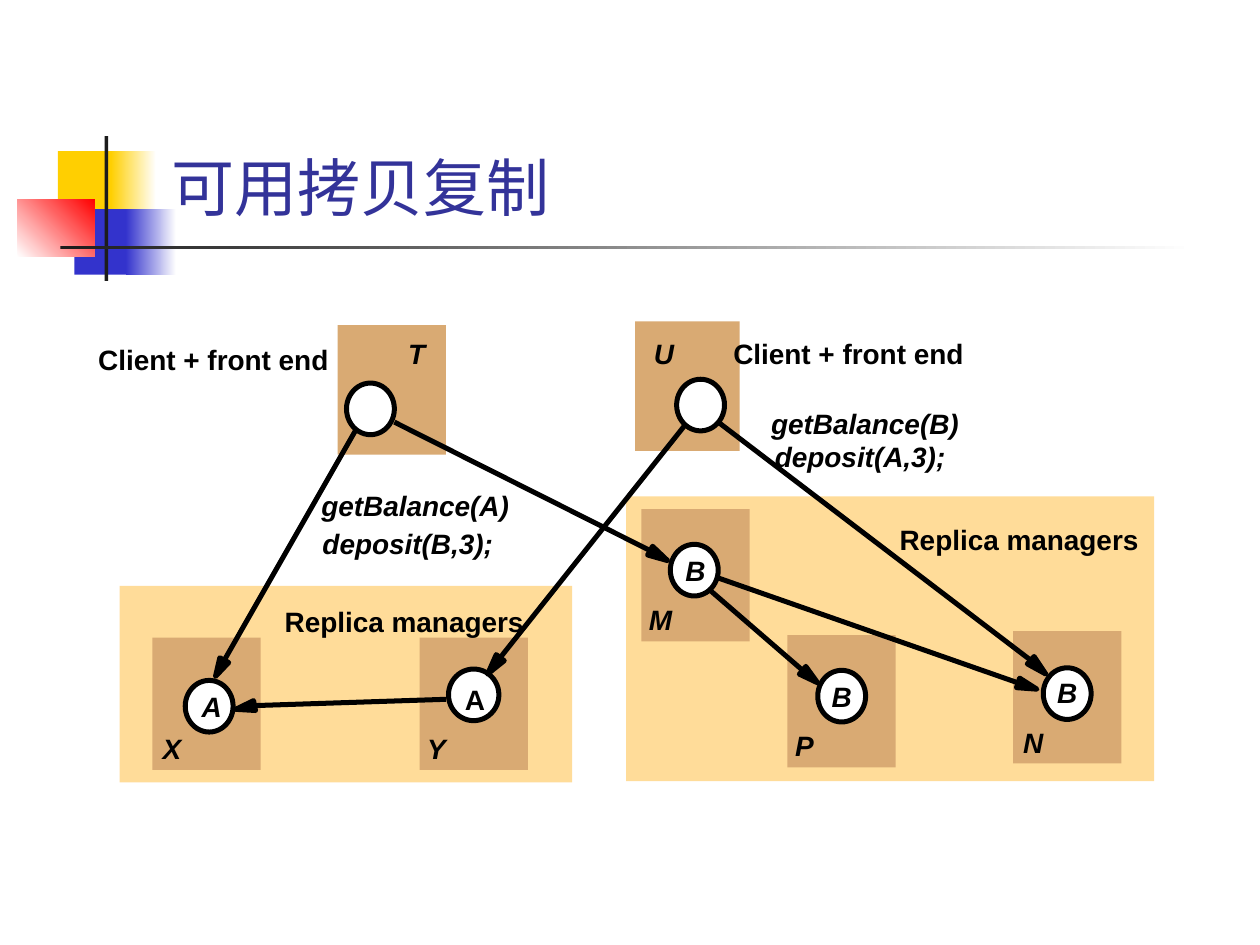
import math
from dataclasses import dataclass

import pptx
import pptx.dml.color
import pptx.enum.shapes
import pptx.enum.text
import pptx.util
from lxml import etree
from pptx.oxml.ns import qn

Inches = pptx.util.Inches
Pt = pptx.util.Pt
Kind = pptx.enum.shapes.MSO_SHAPE
Point = tuple[float, float]

BLACK = "000000"
WHITE = "FFFFFF"
CREAM = "FFDC99"
TAN = "D9AA73"
STROKE = 2.86


@dataclass
class Block:
    x: float
    y: float
    w: float
    h: float
    tint: str
    fade: str = ""
    turn: int = 0


@dataclass
class Label:
    text: str
    x: float
    y: float
    w: float
    slant: bool = True


@dataclass
class Arrow:
    start: Point
    base: Point
    tip: Point


DECOR = [
    Block(0.46, 1.2, 0.48, 0.52, "FFCF01"),
    Block(0.88, 1.2, 0.36, 0.52, "FFCF01", WHITE),
    Block(0.59, 1.66, 0.46, 0.52, "3333CC"),
    Block(1, 1.66, 0.4, 0.52, "3333CC", WHITE),
    Block(0.14, 1.58, 0.61, 0.46, WHITE, "FF0000", 45),
    Block(0.83, 1.08, 0.03, 1.15, "1C1C1C"),
    Block(0.48, 1.95, 9, 0.03, "1C1C1C", WHITE),
]
PANELS = [
    Block(4.97, 3.94, 4.19, 2.26, CREAM),
    Block(0.95, 4.65, 3.59, 1.56, CREAM),
]
HOSTS = [
    Block(2.68, 2.58, 0.86, 1.03, TAN),
    Block(5.04, 2.55, 0.83, 1.03, TAN),
] + [
    Block(x, y, 0.86, 1.05, TAN)
    for x, y in [(1.21, 5.06), (3.33, 5.06), (5.09, 4.04), (6.25, 5.04), (8.04, 5.01)]
]
NODES = [
    Block(x, y, w, 0.41, WHITE)
    for x, y, w in [
        (2.75, 3.04, 0.38), (5.37, 3.01, 0.38),
        (1.47, 5.4, 0.38), (3.56, 5.31, 0.4),
        (5.32, 4.32, 0.38), (6.49, 5.32, 0.38), (8.28, 5.3, 0.38),
    ]
]
LABELS = [
    Label("Client + front end", 0.78, 2.72, 1.83, False),
    Label("Client + front end", 5.82, 2.67, 1.83, False),
    Label("Replica managers", 2.26, 4.8, 1.9, False),
    Label("Replica managers", 7.14, 4.15, 1.9, False),
    Label("getBalance(A)", 2.55, 3.88, 1.49),
    Label("deposit(B,3);", 2.56, 4.18, 1.36),
    Label("getBalance(B)", 6.12, 3.23, 1.49),
    Label("deposit(A,3);", 6.15, 3.49, 1.36),
    Label("T", 3.24, 2.67, 0.14),
    Label("U", 5.19, 2.67, 0.16),
    Label("X", 1.29, 5.81, 0.15),
    Label("Y", 3.39, 5.81, 0.15),
    Label("M", 5.15, 4.78, 0.19),
    Label("P", 6.31, 5.78, 0.15),
    Label("N", 8.12, 5.76, 0.16),
    Label("A", 1.6, 5.47, 0.16),
    Label("A", 3.69, 5.42, 0.16, False),
    Label("B", 5.44, 4.39, 0.16),
    Label("B", 6.6, 5.39, 0.16),
    Label("B", 8.39, 5.36, 0.16),
]
ARROWS = [
    Arrow((2.82, 3.42), (1.78, 5.24), (1.71, 5.37)),
    Arrow((3.13, 3.35), (5.16, 4.37), (5.3, 4.45)),
    Arrow((5.44, 3.37), (3.97, 5.22), (3.87, 5.35)),
    Arrow((5.7, 3.35), (8.18, 5.24), (8.3, 5.35)),
    Arrow((5.68, 4.58), (8.08, 5.42), (8.23, 5.47)),
    Arrow((5.63, 4.68), (6.37, 5.32), (6.49, 5.42)),
    Arrow((3.54, 5.55), (2.02, 5.6), (1.87, 5.63)),
]


def color(code: str) -> pptx.dml.color.RGBColor:
    return pptx.dml.color.RGBColor.from_string(code)


def paint(shape, tint: str, edge: str = "") -> None:
    shape.shadow.inherit = False
    shape.fill.solid()
    shape.fill.fore_color.rgb = color(tint)
    if edge:
        shape.line.color.rgb = color(edge)
        shape.line.width = Pt(STROKE)
    else:
        shape.line.fill.background()


def add_block(shapes, block: Block, kind=Kind.RECTANGLE, edge: str = "") -> None:
    box = [Inches(n) for n in (block.x, block.y, block.w, block.h)]
    shape = shapes.add_shape(kind, *box)
    paint(shape, block.tint, edge)
    if block.fade:
        shape.fill.gradient()
        shape.fill.gradient_angle = block.turn
        for stop, tint in zip(shape.fill.gradient_stops, (block.tint, block.fade)):
            stop.color.rgb = color(tint)


def add_label(shapes, label: Label) -> None:
    box = [Inches(n) for n in (label.x, label.y, label.w, 0.27)]
    frame = shapes.add_textbox(*box).text_frame
    frame.margin_left = frame.margin_right = 0
    frame.margin_top = frame.margin_bottom = 0
    frame.word_wrap = False
    frame.auto_size = pptx.enum.text.MSO_AUTO_SIZE.SHAPE_TO_FIT_TEXT
    frame.text = label.text
    font = frame.paragraphs[0].font
    font.name = "Arial"
    font.size = Pt(16)
    font.bold = True
    font.italic = label.slant
    font.color.rgb = color(BLACK)


def add_arrow(shapes, arrow: Arrow) -> None:
    (bx, by), (tx, ty) = arrow.base, arrow.tip
    size = math.dist(arrow.base, arrow.tip)
    dx, dy = 0.04 * (by - ty) / size, 0.04 * (tx - bx) / size
    edge = [(bx + dx, by + dy), arrow.tip, (bx - dx, by - dy)]
    points = [(Inches(x), Inches(y)) for x, y in edge]
    pen = shapes.build_freeform(*points[0])
    pen.add_line_segments(points[1:], close=True)
    paint(pen.convert_to_shape(), BLACK, BLACK)
    ends = [Inches(n) for n in arrow.start + arrow.base]
    line = shapes.add_connector(pptx.enum.shapes.MSO_CONNECTOR.STRAIGHT, *ends)
    line.line.color.rgb = color(BLACK)
    line.line.width = Pt(STROKE)
    etree.SubElement(line.element.spPr, qn("a:effectLst"))


def set_title(title, text: str) -> None:
    title.left, title.top = Inches(1.26), Inches(0.23)
    title.width, title.height = Inches(8.52), Inches(1.6)
    frame = title.text_frame
    frame.text = text
    frame.auto_size = pptx.enum.text.MSO_AUTO_SIZE.NONE
    frame.vertical_anchor = pptx.enum.text.MSO_ANCHOR.BOTTOM
    para = frame.paragraphs[0]
    para.alignment = pptx.enum.text.PP_ALIGN.LEFT
    para.font.name = "Cabin"
    para.font.size = Pt(36)
    para.font.color.rgb = color("333399")


def main() -> None:
    deck = pptx.Presentation()
    deck.slide_width, deck.slide_height = Inches(10), Inches(7.5)
    slide = deck.slides.add_slide(deck.slide_layouts[5])
    shapes = slide.shapes
    for block in DECOR:
        add_block(shapes, block)
    title = shapes.title
    title.element.getparent().append(title.element)
    set_title(title, "可用拷贝复制")
    for block in PANELS + HOSTS:
        add_block(shapes, block)
    for node in NODES:
        add_block(shapes, node, Kind.OVAL, BLACK)
    for label in LABELS:
        add_label(shapes, label)
    for arrow in ARROWS:
        add_arrow(shapes, arrow)
    deck.save("out.pptx")


if __name__ == "__main__":
    main()
